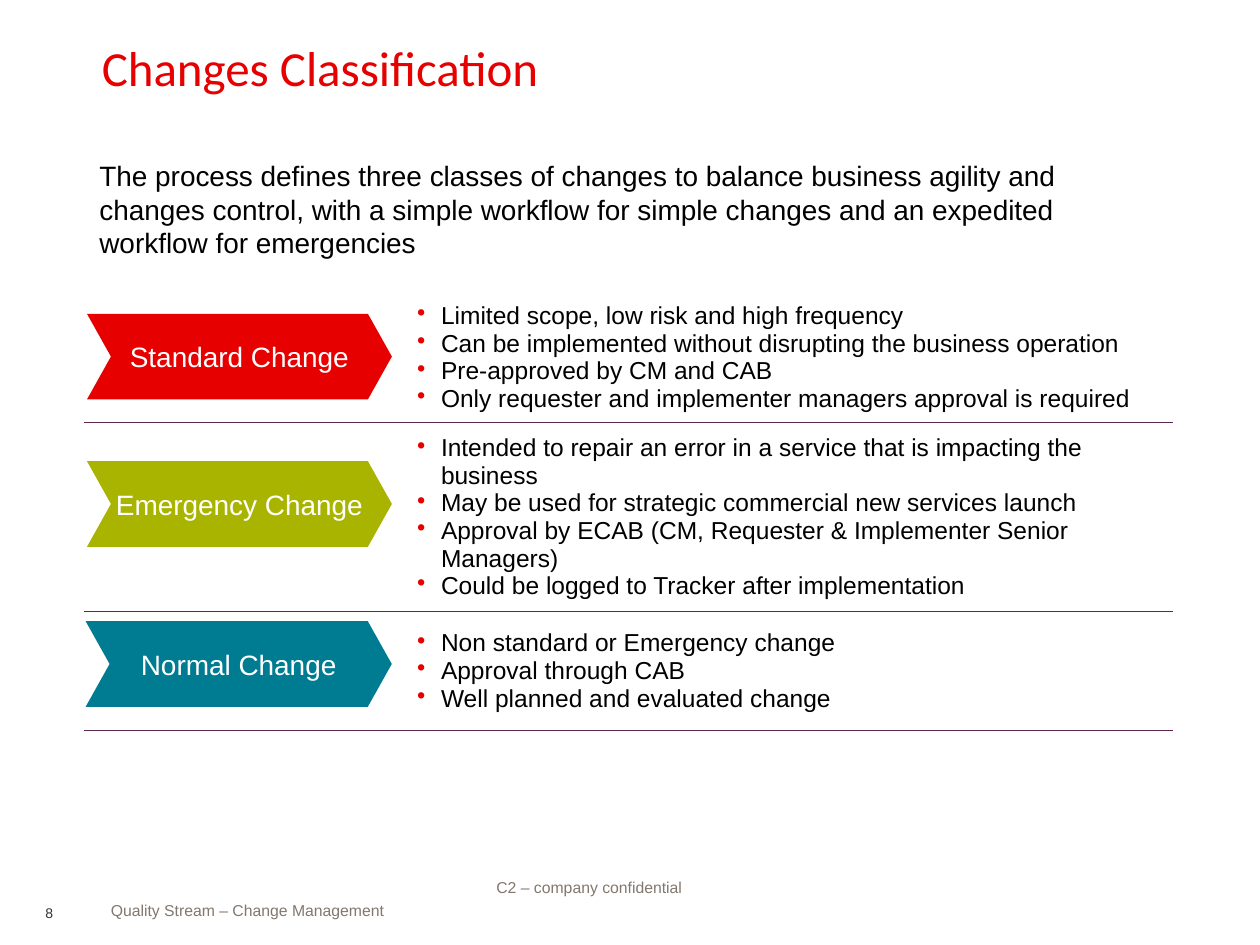
from lxml.etree import SubElement
from pptx import Presentation
from pptx.dml.color import RGBColor
from pptx.enum.shapes import MSO_SHAPE
from pptx.enum.text import MSO_ANCHOR, PP_ALIGN
from pptx.oxml import parse_xml
from pptx.oxml.ns import nsdecls, qn
from pptx.util import Inches, Pt

RED = RGBColor(0xE6, 0x00, 0x00)
GREEN = RGBColor(0xA8, 0xB4, 0x00)
TEAL = RGBColor(0x00, 0x7C, 0x92)
PLUM = RGBColor(0x5E, 0x27, 0x50)
GREY = RGBColor(0x82, 0x78, 0x6F)
DARK = RGBColor(0x34, 0x34, 0x2B)
BLACK = RGBColor(0x00, 0x00, 0x00)
WHITE = RGBColor(0xFF, 0xFF, 0xFF)
PLAIN = "{2D5ABB26-0587-4C30-8999-92F81FD0307C}"
COLS, ROWS = 100, 75

CLASSES = [
    ("Standard Change", RED, (6.9, 24.9, 24.2, 6.8), 10.1, [
        "Limited scope, low risk and high frequency",
        "Can be implemented without disrupting the business operation",
        "Pre-approved by CM and CAB",
        "Only requester and implementer managers approval is required"]),
    ("Emergency Change", GREEN, (6.9, 36.6, 24.2, 6.8), 14.8, [
        "Intended to repair an error in a service that is impacting the business",
        "May be used for strategic commercial new services launch",
        "Approval by ECAB (CM, Requester & Implementer Senior Managers)",
        "Could be logged to Tracker after implementation"]),
    ("Normal Change", TEAL, (6.8, 49.3, 24.3, 6.8), 9.4, [
        "Non standard or Emergency change",
        "Approval through CAB",
        "Well planned and evaluated change"]),
]


class Deck:
    """Holds the style and the current slide, placed on a grid of columns and rows."""

    def __init__(self, font="Arial"):
        self.font = font
        self.show = Presentation()
        self.show.slide_width, self.show.slide_height = Inches(10), Inches(7.5)
        self.slide = self.show.slides.add_slide(self.show.slide_layouts[6])
        self.shapes = self.slide.shapes

    def across(self, cols):
        return round(self.show.slide_width * cols / COLS)

    def down(self, rows):
        return round(self.show.slide_height * rows / ROWS)

    def place(self, box):
        left, top, width, height = box
        return self.across(left), self.down(top), self.across(width), self.down(height)

    def style(self, para, size, color, font=None):
        para.font.name = font or self.font
        para.font.size = Pt(size)
        para.font.color.rgb = color

    def pad(self, frame, left, top, right, bottom):
        frame.margin_left, frame.margin_right = self.across(left), self.across(right)
        frame.margin_top, frame.margin_bottom = self.down(top), self.down(bottom)

    def text(self, words, box, size, color, font=None, align=PP_ALIGN.LEFT,
             space=1.0, pad=(1, 0.5, 1, 0.5), anchor=MSO_ANCHOR.TOP):
        frame = self.shapes.add_textbox(*self.place(box)).text_frame
        frame.word_wrap = True
        frame.vertical_anchor = anchor
        self.pad(frame, *pad)
        para = frame.paragraphs[0]
        para.text, para.alignment, para.line_spacing = words, align, space
        self.style(para, size, color, font)

    def arrow(self, words, box, color):
        shape = self.shapes.add_shape(MSO_SHAPE.CHEVRON, *self.place(box))
        shape.adjustments[0] = 0.28
        shape.shadow.inherit = False
        shape.fill.solid()
        shape.fill.fore_color.rgb = color
        shape.line.fill.background()
        frame = shape.text_frame
        frame.word_wrap = False
        frame.vertical_anchor = MSO_ANCHOR.MIDDLE
        self.pad(frame, 0.4, 0.4, 0.4, 0.4)
        para = frame.paragraphs[0]
        para.text, para.alignment = words, PP_ALIGN.CENTER
        self.style(para, 16, WHITE)

    def bullet(self, para, words):
        para.text = words
        props = para._p.get_or_add_pPr()
        indent = self.across(1.9)
        props.set("marL", str(indent))
        props.set("indent", str(-indent))
        tint = SubElement(props, qn("a:buClr"))
        SubElement(tint, qn("a:srgbClr")).set("val", str(RED))
        SubElement(props, qn("a:buChar")).set("char", "•")
        self.style(para, 14, BLACK)

    def rule(self, cell):
        cell.fill.background()
        line = parse_xml(
            f'<a:lnB {nsdecls("a")} w="{Pt(0.45)}"><a:solidFill>'
            f'<a:srgbClr val="{PLUM}"/></a:solidFill></a:lnB>')
        cell._tc.get_or_add_tcPr().insert(0, line)

    def table(self, lists, box, widths, heights):
        table = self.shapes.add_table(len(lists), 2, *self.place(box)).table
        table.first_row = table.horz_banding = False
        table._tbl.tblPr.find(qn("a:tableStyleId")).text = PLAIN
        for col, width in zip(table.columns, widths):
            col.width = self.across(width)
        for row, height, items in zip(table.rows, heights, lists):
            row.height = self.down(height)
            for cell in row.cells:
                self.rule(cell)
            cell = row.cells[1]
            cell.vertical_anchor = MSO_ANCHOR.MIDDLE
            self.pad(cell, 1, 0.5, 1, 0.5)
            frame = cell.text_frame
            for num, words in enumerate(items):
                para = frame.add_paragraph() if num else frame.paragraphs[0]
                self.bullet(para, words)


def main():
    deck = Deck()
    foot = (0, 0.5, 1, 0.5)
    deck.text("8", (3.6, 69.4, 2.2, 3.7), 8, DARK, pad=(0, 0, 0, 0),
              anchor=MSO_ANCHOR.BOTTOM)
    deck.text("C2 – company confidential", (35.7, 69.3, 23.1, 4.4), 9, GREY,
              align=PP_ALIGN.CENTER, space=0.95, pad=foot)
    deck.text("Quality Stream – Change Management", (8.8, 71, 22.7, 3), 9, GREY, pad=foot)
    deck.text("Changes Classification", (7.1, 3, 86, 10.3), 28, RED,
              font="Calibri", space=0.9)
    heights = [item[3] for item in CLASSES]
    deck.table([item[4] for item in CLASSES], (6.7, 23.2, 86.4, sum(heights)),
               (25.4, 61), heights)
    for words, color, box, *_ in CLASSES:
        deck.arrow(words, box, color)
    deck.text("The process defines three classes of changes to balance business "
              "agility and changes control, with a simple workflow for simple "
              "changes and an expedited workflow for emergencies",
              (6.9, 12.1, 86.2, 9), 16, BLACK)
    deck.show.save("out.pptx")


if __name__ == "__main__":
    main()
